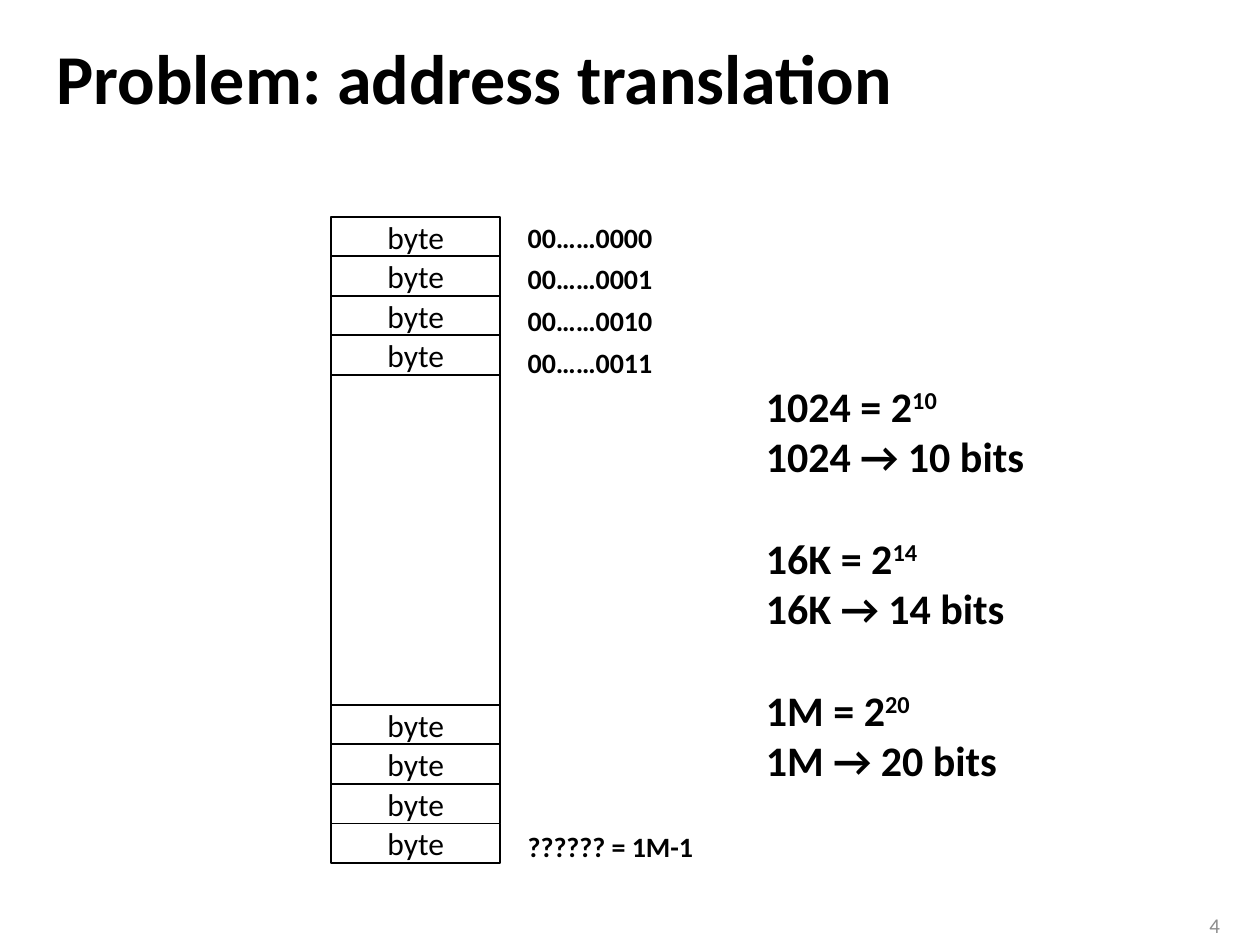
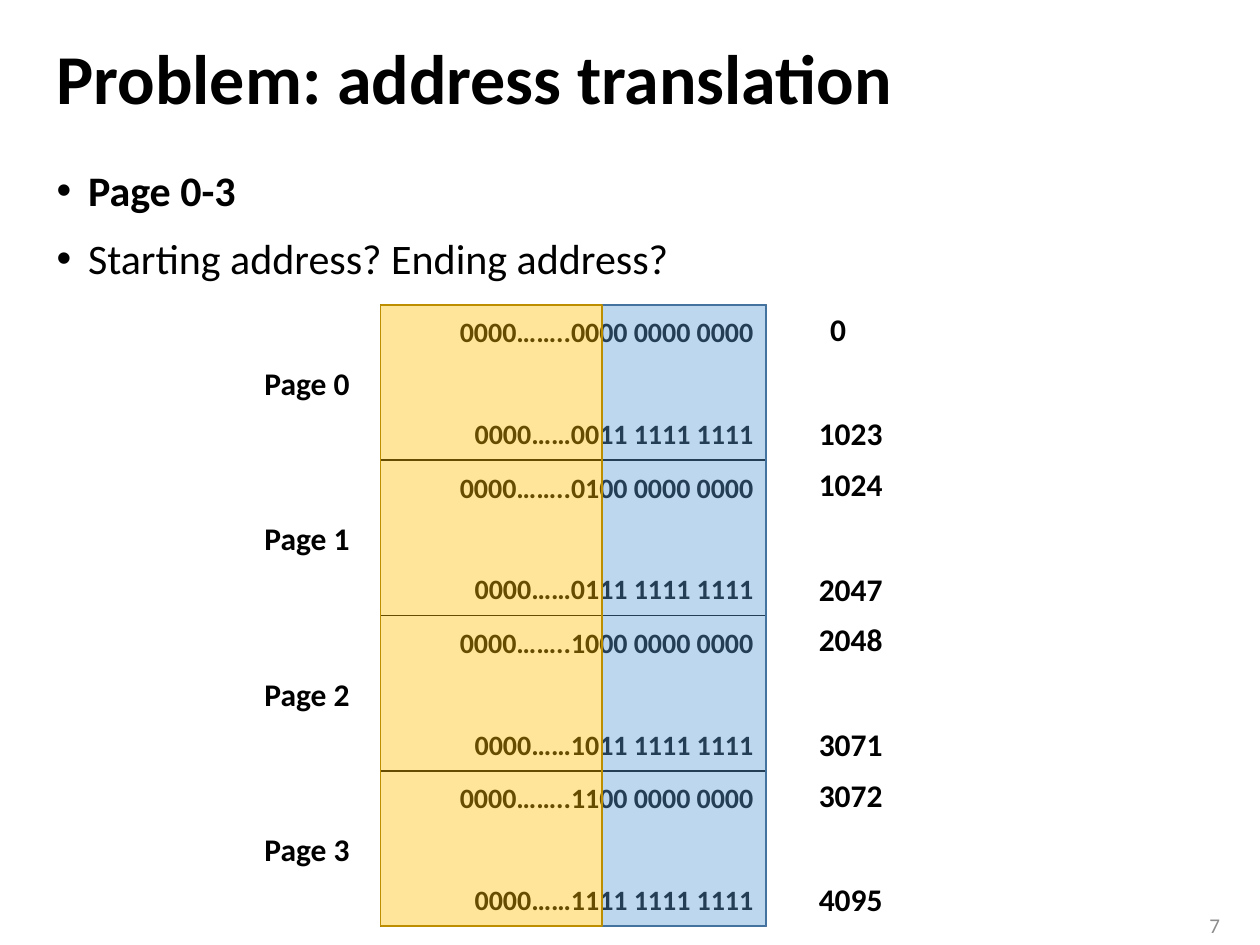
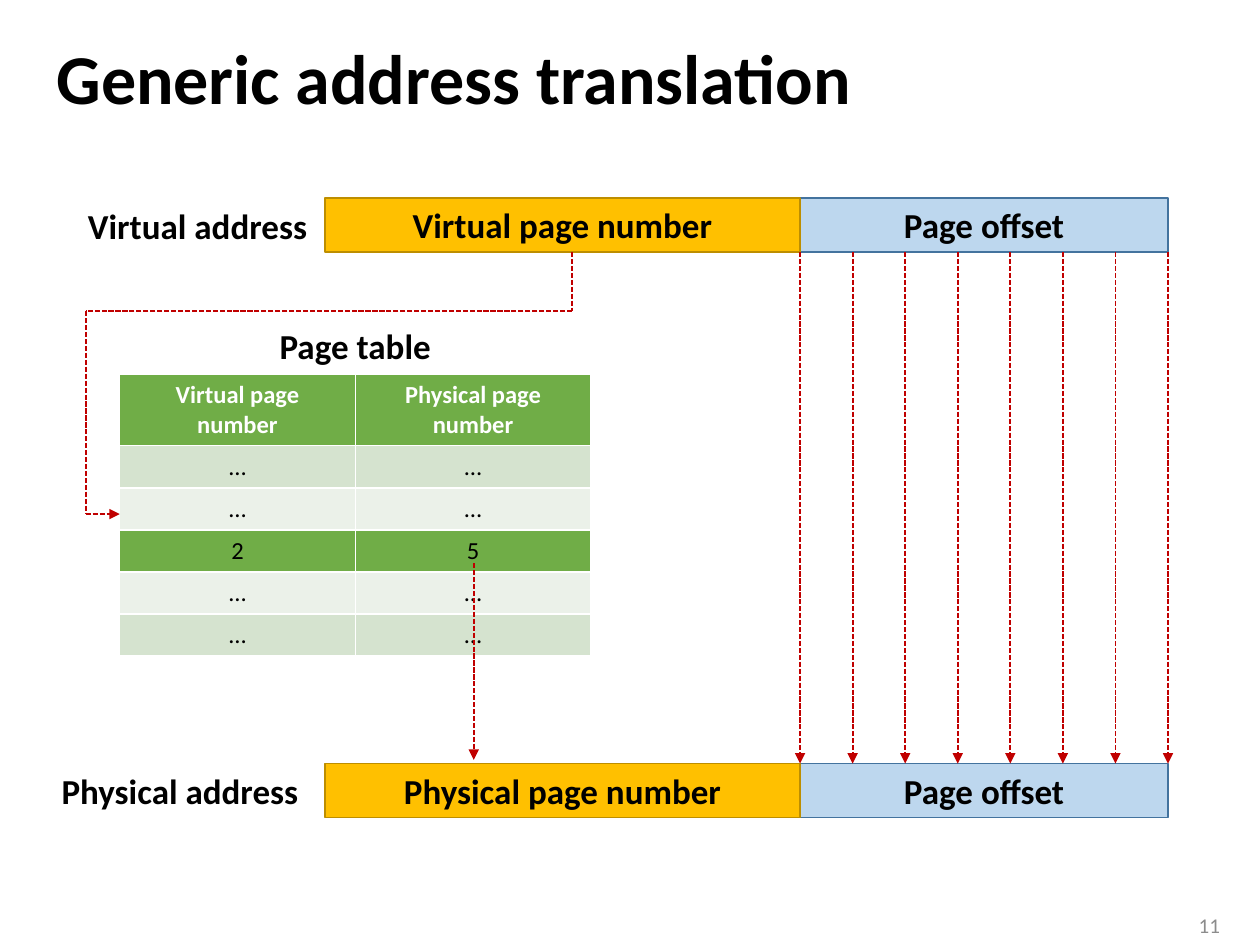
from dataclasses import dataclass
from itertools import pairwise

from lxml import etree
from pptx import Presentation
from pptx.dml.color import RGBColor
from pptx.enum.dml import MSO_LINE
from pptx.enum.shapes import MSO_CONNECTOR, MSO_SHAPE
from pptx.enum.text import MSO_ANCHOR, PP_ALIGN
from pptx.oxml.ns import qn
from pptx.util import Inches, Pt

LEFT, CENTER, RIGHT = PP_ALIGN.LEFT, PP_ALIGN.CENTER, PP_ALIGN.RIGHT
TOP, MIDDLE = MSO_ANCHOR.TOP, MSO_ANCHOR.MIDDLE
RECTANGLE, STRAIGHT = MSO_SHAPE.RECTANGLE, MSO_CONNECTOR.STRAIGHT
SHORT_DASH = MSO_LINE.SQUARE_DOT

WIDTH, HEIGHT = Inches(10), Inches(7.5)
COLUMNS, ROWS = 100, 75
FONT = "Calibri"
LINE_HEIGHT = 1.22
BLACK, WHITE, GREY = "000000", "FFFFFF", "8C8C8C"
GOLD, GOLD_EDGE = "FFC000", "BD8E00"
BLUE, PALE_BLUE, BLUE_EDGE = "5B9BD5", "BDD7EE", "43739E"
GREEN, GREEN_BAND, GREEN_PALE = "70AD47", "D5E3CF", "EBF1E9"
RED = "C00000"

PAGE_SIZE = 1024
PAGE_COUNT = 4


@dataclass
class Box:
    """An area in columns and rows of the slide grid."""
    left: float
    top: float
    width: float
    height: float

    def inner(self, left, top, width, height):
        return Box(self.left + left, self.top + top, width, height)

    def lengths(self):
        return (across(self.left), down(self.top),
                across(self.width), down(self.height))


TITLE_BOX = Box(3.5, 1.9, 92.9, 9.2)
BODY_BOX = Box(3.5, 12.6, 92.9, 58.3)
NUMBER_BOX = Box(92.7, 71.9, 5.1, 3.1)


def across(columns):
    return round(WIDTH * columns / COLUMNS)


def down(rows):
    return round(HEIGHT * rows / ROWS)


def rgb(value):
    return RGBColor.from_string(value)


def set_values(target, values):
    for name, value in values.items():
        setattr(target, name, value)


def write_lines(frame, lines, size, bold=False, color=BLACK, align=LEFT):
    """Write one paragraph a line; what follows a ^ is raised."""
    for index, line in enumerate(lines):
        paragraph = frame.add_paragraph() if index else frame.paragraphs[0]
        paragraph.alignment = align
        base, _, power = line.partition("^")
        for text in filter(None, (base, power)):
            run = paragraph.add_run()
            run.text = text
            set_values(run.font, {"name": FONT, "size": Pt(size), "bold": bold})
            run.font.color.rgb = rgb(color)
            if text is power:
                run.font._element.set("baseline", "30000")
    return frame.paragraphs


def add_text(slide, box, lines, size, wrap=False, anchor=TOP, **style):
    frame = slide.shapes.add_textbox(*box.lengths()).text_frame
    set_values(frame, {"word_wrap": wrap, "vertical_anchor": anchor})
    return write_lines(frame, lines, size, **style)


def add_rectangle(slide, box, fill, edge, alpha=None):
    shape = slide.shapes.add_shape(RECTANGLE, *box.lengths())
    shape.shadow.inherit = False
    shape.fill.solid()
    shape.fill.fore_color.rgb = rgb(fill)
    shape.line.color.rgb = rgb(edge)
    shape.line.width = Pt(1)
    shape.text_frame.vertical_anchor = MIDDLE
    if alpha:
        color = shape._element.spPr.find(qn("a:solidFill"))[0]
        etree.SubElement(color, qn("a:alpha"), val=str(alpha * 1000))
    return shape


def add_dashed_line(slide, start, end, arrow=True):
    line = slide.shapes.add_connector(STRAIGHT, across(start[0]), down(start[1]),
                                      across(end[0]), down(end[1]))
    line.line.color.rgb = rgb(RED)
    set_values(line.line, {"width": Pt(1), "dash_style": SHORT_DASH})
    properties = line._element.spPr
    if arrow:
        etree.SubElement(properties.find(qn("a:ln")), qn("a:tailEnd"), type="triangle")
    etree.SubElement(properties, qn("a:effectLst"))


def add_base_slide(presentation, title, number):
    slide = presentation.slides.add_slide(presentation.slide_layouts[6])
    heading = add_text(slide, TITLE_BOX, [title], 40, wrap=True, anchor=MIDDLE, bold=True)
    heading[0].line_spacing = 0.9
    add_text(slide, NUMBER_BOX, [str(number)], 12, wrap=True, anchor=MIDDLE,
             color=GREY, align=RIGHT)
    return slide


def add_bullets(slide, box, lines):
    paragraphs = add_text(slide, box, lines, 24, wrap=True)
    for index, paragraph in enumerate(paragraphs):
        properties = paragraph._p.get_or_add_pPr()
        properties.set("marL", str(Inches(0.25)))
        properties.set("indent", str(-Inches(0.25)))
        etree.SubElement(properties, qn("a:buFont"), typeface="Arial")
        etree.SubElement(properties, qn("a:buChar"), char="•")
        if index:
            paragraph.space_before = Pt(10)
    return paragraphs


def add_memory_column(slide, box):
    """Stack four bytes at each end of the memory, with a plain block between."""
    cell, count = 3.14, 4
    ends = box.height - count * cell
    for start in (0, ends):
        for index in range(count):
            place = box.inner(0, start + index * cell, box.width, cell)
            shape = add_rectangle(slide, place, WHITE, BLACK)
            write_lines(shape.text_frame, ["byte"], 18, align=CENTER)
    add_rectangle(slide, box.inner(0, count * cell, box.width, ends - count * cell),
                  WHITE, BLACK)
    label_left = box.width + 1.2
    for index in range(count):
        add_text(slide, box.inner(label_left, index * 3.3 - 0.2, 12, 3.7),
                 [f"00……{index:04b}"], 16, bold=True)
    add_text(slide, box.inner(label_left, box.height - cell, 15.3, 3.7),
             ["?????? = 1M-1"], 16, bold=True)


def add_bit_counts(slide, box):
    lines = []
    for size, bits in (("1024", 10), ("16K", 14), ("1M", 20)):
        lines += [f"{size} = 2^{bits}", f"{size} → {bits} bits"]
    paragraphs = add_text(slide, box, lines, 24, bold=True)
    for paragraph in paragraphs[2::2]:
        paragraph.space_before = Pt(24 * LINE_HEIGHT)


def binary(address, dots):
    bits = f"{address:012b}"
    return f"0000{dots}{bits[:4]} {bits[4:8]} {bits[8:]}"


def add_page(slide, box, page):
    """Show one page with its label and its first and last address."""
    first, last = page * PAGE_SIZE, (page + 1) * PAGE_SIZE - 1
    shape = add_rectangle(slide, box, WHITE, BLACK)
    paragraphs = write_lines(shape.text_frame, [binary(first, "…….."), binary(last, "……")],
                             16, bold=True, align=RIGHT)
    paragraphs[1].space_before = Pt(2 * 16 * LINE_HEIGHT)
    add_text(slide, box.inner(-10.2, 4.2, 9.2, 4), [f"Page {page}"], 18, wrap=True, bold=True)
    for address, top in ((first, -0.1), (last, 8.2)):
        left, width = (33.8, 7.1) if address else (34.7, 3.3)
        add_text(slide, box.inner(left, top, width, 4), [str(address)], 18, bold=True)


def add_pages(slide, box):
    height = box.height / PAGE_COUNT
    for page in range(PAGE_COUNT):
        add_page(slide, box.inner(0, page * height, box.width, height), page)
    number_width = 17.6
    add_rectangle(slide, box.inner(number_width, 0, box.width - number_width, box.height),
                  BLUE, BLUE_EDGE, alpha=40)
    add_rectangle(slide, box.inner(0, 0, number_width, box.height), GOLD, GOLD_EDGE, alpha=40)


def add_address_bar(slide, box, kind, label_left, label_width):
    number_width = 37.7
    parts = ((box.inner(number_width, 0, box.width - number_width, box.height),
              "Page offset", PALE_BLUE, BLUE_EDGE),
             (box.inner(0, 0, number_width, box.height),
              f"{kind} page number", GOLD, GOLD_EDGE))
    for place, text, fill, edge in parts:
        shape = add_rectangle(slide, place, fill, edge)
        set_values(shape.text_frame, dict.fromkeys(
            ("margin_left", "margin_top", "margin_right", "margin_bottom"), 0))
        write_lines(shape.text_frame, [text], 20, bold=True, align=CENTER)
    add_text(slide, box.inner(label_left, 0, label_width, 4.4), [f"{kind} address"],
             20, bold=True)


def add_offset_arrows(slide, box):
    gaps = 7
    for index in range(gaps + 1):
        column = box.left + index * box.width / gaps
        add_dashed_line(slide, (column, box.top), (column, box.top + box.height))


def add_page_table(slide, box):
    add_text(slide, box.inner(11.7, -4.4, 14.1, 4.4), ["Page table"], 20, bold=True)
    rows = (((["Virtual page", "number"], ["Physical page number"]), GREEN),
            ((["…"], ["…"]), GREEN_BAND),
            ((["…"], ["…"]), GREEN_PALE),
            ((["2"], ["5"]), GREEN),
            ((["…"], ["…"]), GREEN_PALE),
            ((["…"], ["…"]), GREEN_BAND))
    table = slide.shapes.add_table(len(rows), 2, *box.lengths()).table
    table.horz_banding = False
    header_height = 5.6
    row_height = (box.height - header_height) / (len(rows) - 1)
    for index, (texts, fill) in enumerate(rows):
        header = index == 0
        table.rows[index].height = down(header_height if header else row_height)
        for cell, lines in zip(table.rows[index].cells, texts):
            cell.fill.solid()
            cell.fill.fore_color.rgb = rgb(fill)
            write_lines(cell.text_frame, lines, 14, bold=header,
                        color=WHITE if header else BLACK, align=CENTER)


def add_lookup_path(slide, points):
    """Join the points by dashed lines, the last one with an arrowhead."""
    for start, end in pairwise(points):
        add_dashed_line(slide, start, end, arrow=end == points[-1])


def build_memory_slide(presentation):
    slide = add_base_slide(presentation, "Problem: address translation", 4)
    add_memory_column(slide, Box(26.3, 17.2, 13.4, 51.3))
    add_bit_counts(slide, Box(59.8, 29.7, 22.9, 33.3))


def build_pages_slide(presentation):
    slide = add_base_slide(presentation, "Problem: address translation", 7)
    bullets = add_bullets(slide, BODY_BOX, ["Page 0-3", "Starting address? Ending address?"])
    bullets[0].runs[0].font.bold = True
    add_pages(slide, Box(30.2, 24.2, 30.6, 49.3))


def build_translation_slide(presentation):
    slide = add_base_slide(presentation, "Generic address translation", 11)
    add_address_bar(slide, Box(25.8, 15.7, 66.9, 4.3), "Virtual", -19.8, 19.6)
    add_address_bar(slide, Box(25.8, 60.6, 66.9, 4.3), "Physical", -21.9, 21)
    add_offset_arrows(slide, Box(63.5, 20, 29.2, 40.6))
    add_page_table(slide, Box(9.5, 29.7, 37.4, 22.3))
    add_lookup_path(slide, [(45.4, 20), (45.4, 24.7), (6.8, 24.7), (6.8, 40.8), (9.5, 40.8)])
    add_dashed_line(slide, (37.6, 44.7), (37.6, 60.3))


def main():
    presentation = Presentation()
    set_values(presentation, {"slide_width": WIDTH, "slide_height": HEIGHT})
    build_memory_slide(presentation)
    build_pages_slide(presentation)
    build_translation_slide(presentation)
    presentation.save("out.pptx")


if __name__ == "__main__":
    main()
